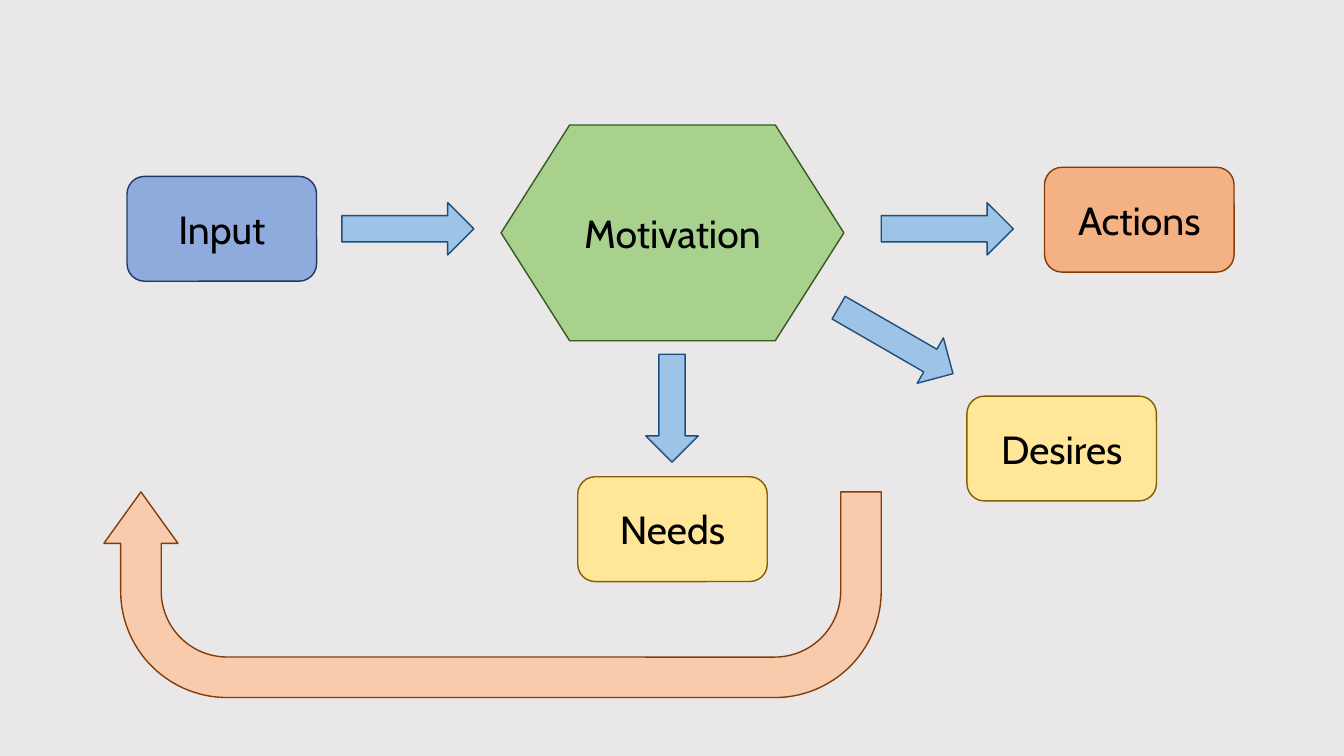
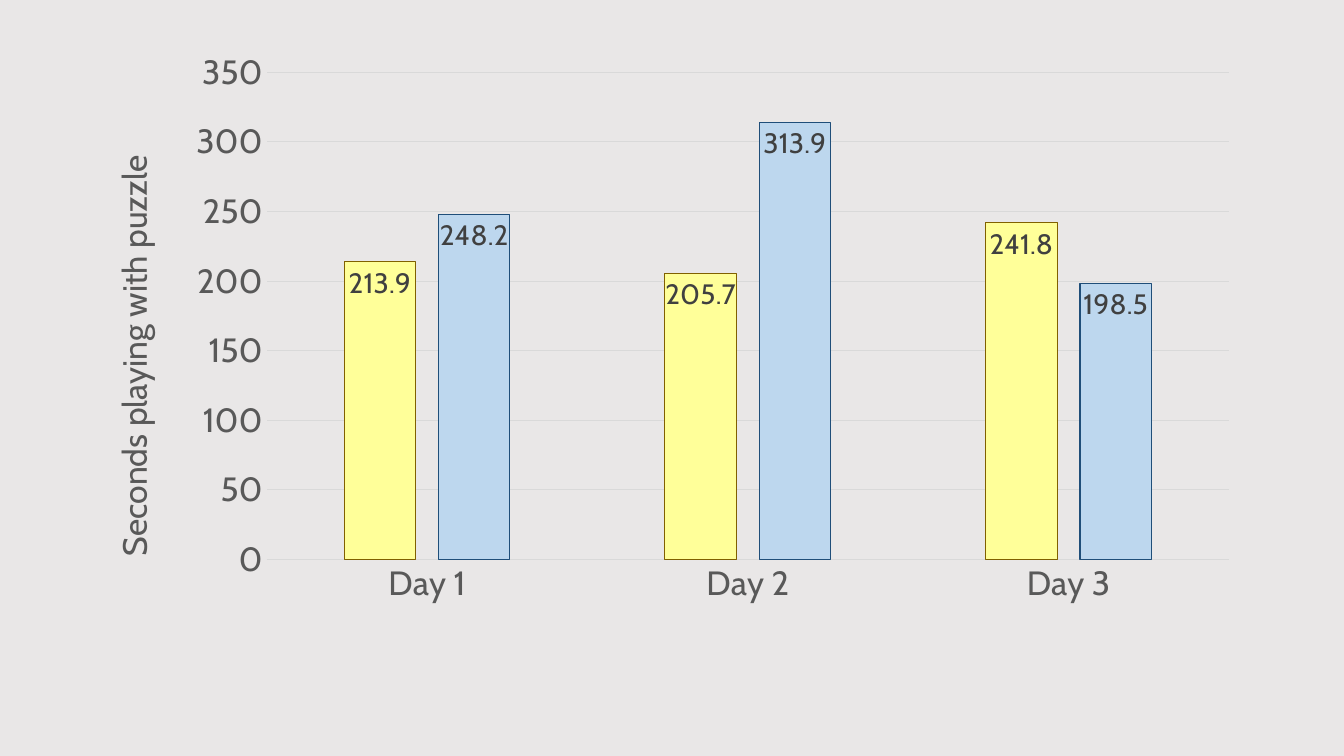
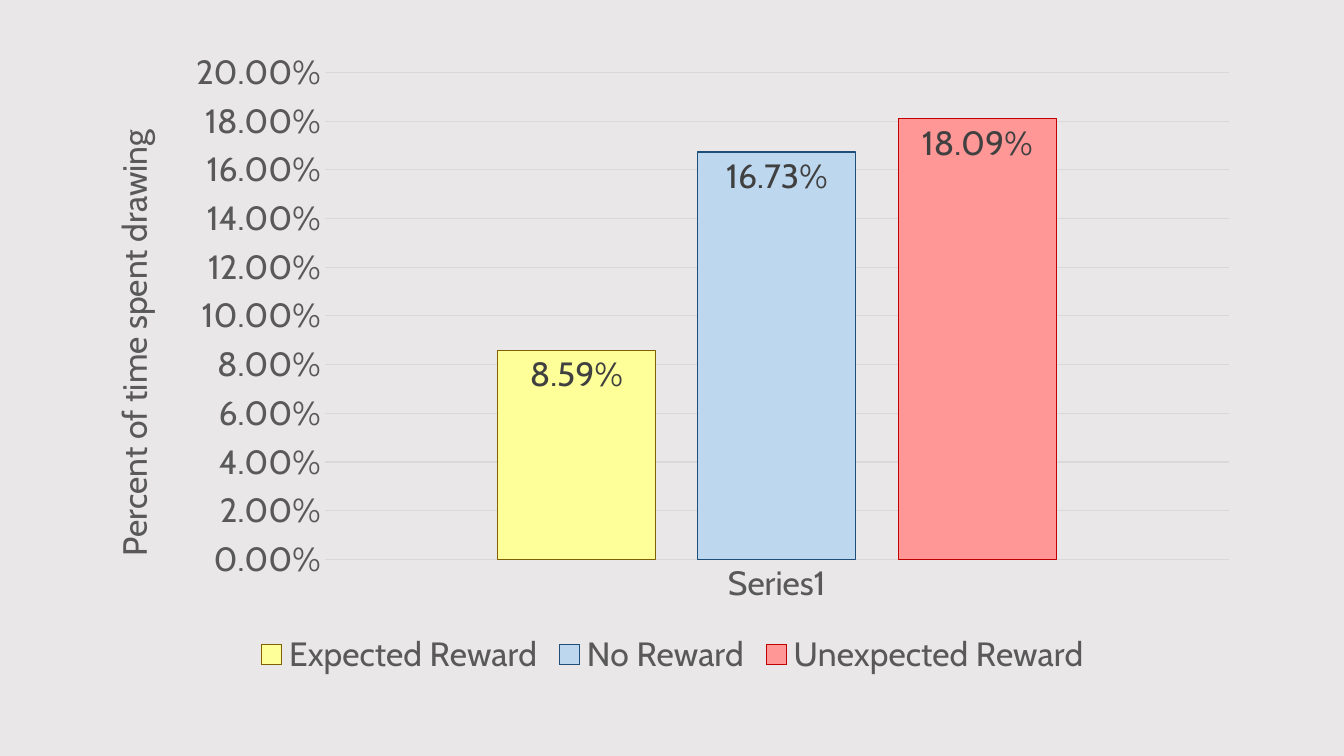
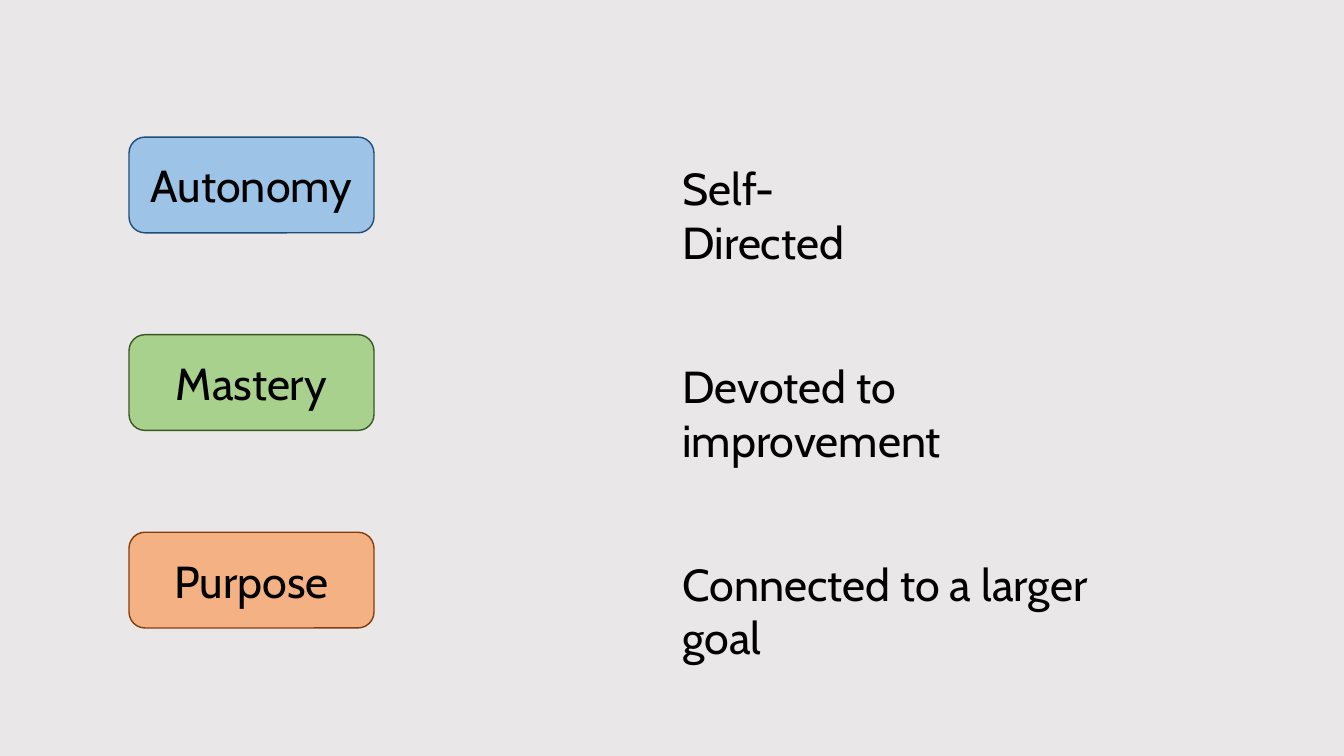
from dataclasses import dataclass

from lxml import etree
from pptx import Presentation
from pptx.chart.axis import ValueAxis
from pptx.chart.data import CategoryChartData
from pptx.dml.color import RGBColor
from pptx.dml.line import LineFormat
from pptx.enum.chart import XL_CHART_TYPE as ChartType
from pptx.enum.chart import XL_LABEL_POSITION as LabelPosition
from pptx.enum.chart import XL_LEGEND_POSITION as LegendPosition
from pptx.enum.chart import XL_TICK_MARK as TickMark
from pptx.enum.shapes import MSO_SHAPE as Shape
from pptx.enum.text import MSO_ANCHOR as Anchor
from pptx.enum.text import MSO_AUTO_SIZE as AutoSize
from pptx.enum.text import PP_ALIGN as Align
from pptx.oxml.ns import qn
from pptx.slide import Slide
from pptx.text.text import Font
from pptx.util import Inches, Pt

FONT = "Cabin"
BACKGROUND = RGBColor(0xE9, 0xE7, 0xE7)
BLACK = RGBColor(0x00, 0x00, 0x00)
AXIS_GRAY = RGBColor(0x59, 0x59, 0x59)
LABEL_GRAY = RGBColor(0x40, 0x40, 0x40)
GRID_GRAY = RGBColor(0xD9, 0xD9, 0xD9)
PERIWINKLE = RGBColor(0x8F, 0xAA, 0xDC)
NAVY = RGBColor(0x20, 0x38, 0x64)
ORANGE = RGBColor(0xF4, 0xB1, 0x83)
PEACH = RGBColor(0xF8, 0xCB, 0xAD)
BROWN = RGBColor(0x84, 0x3C, 0x0B)
GOLD = RGBColor(0xFF, 0xE6, 0x99)
OLIVE = RGBColor(0x80, 0x60, 0x00)
GREEN = RGBColor(0xA9, 0xD1, 0x8E)
DARK_GREEN = RGBColor(0x38, 0x57, 0x23)
BLUE = RGBColor(0x9D, 0xC3, 0xE6)
PALE_BLUE = RGBColor(0xBD, 0xD7, 0xEE)
DARK_BLUE = RGBColor(0x1F, 0x4E, 0x79)
YELLOW = RGBColor(0xFF, 0xFF, 0x99)
PINK = RGBColor(0xFF, 0x97, 0x97)
RED = RGBColor(0xC0, 0x00, 0x00)

NODE_SIZE = (1.88, 1.04)
ARROW_SIZE = (1.31, 0.52)


@dataclass(frozen=True)
class Block:
    left: float
    top: float
    size: tuple[float, float]
    fill: RGBColor
    line: RGBColor
    text: str = ""
    font_size: int = 28
    kind: Shape = Shape.ROUNDED_RECTANGLE
    rotation: int = 0
    adjustments: tuple[float, ...] = ()


@dataclass(frozen=True)
class Bars:
    name: str
    values: tuple[float, ...]
    fill: RGBColor
    line: RGBColor


@dataclass(frozen=True)
class ColumnChart:
    axis_title: str
    title_top: float
    categories: tuple[str, ...]
    series: tuple[Bars, ...]
    number_format: str
    maximum: float
    step: float
    gap: int
    overlap: int
    label_size: int
    plot_left: float
    plot_width: float
    legend: bool


@dataclass(frozen=True)
class Driver:
    name: str
    meaning: str
    meaning_width: float
    fill: RGBColor
    line: RGBColor


FLOW = (
    Block(1.26, 1.75, NODE_SIZE, PERIWINKLE, NAVY, "Input"),
    Block(10.36, 1.66, NODE_SIZE, ORANGE, BROWN, "Actions"),
    Block(9.59, 3.93, NODE_SIZE, GOLD, OLIVE, "Desires"),
    Block(5.73, 4.73, NODE_SIZE, GOLD, OLIVE, "Needs"),
    Block(4.97, 1.24, (3.4, 2.14), GREEN, DARK_GREEN, "Motivation",
          kind=Shape.FLOWCHART_PREPARATION),
    Block(3.39, 2.01, ARROW_SIZE, BLUE, DARK_BLUE, kind=Shape.RIGHT_ARROW),
    Block(8.23, 3.12, ARROW_SIZE, BLUE, DARK_BLUE, kind=Shape.RIGHT_ARROW, rotation=30),
    Block(8.74, 2.01, ARROW_SIZE, BLUE, DARK_BLUE, kind=Shape.RIGHT_ARROW),
    Block(6.13, 3.79, (1.07, 0.52), BLUE, DARK_BLUE, kind=Shape.RIGHT_ARROW, rotation=90),
    Block(1.03, 4.88, (7.71, 2.04), PEACH, BROWN, kind=Shape.U_TURN_ARROW, rotation=180,
          adjustments=(0.197, 0.18, 0.25, 0.518, 1)),
)

PUZZLE_TIME = ColumnChart(
    "Seconds playing with puzzle", 0.17, ("Day 1", "Day 2", "Day 3"),
    (
        Bars("Control", (213.9, 205.7, 241.8), YELLOW, OLIVE),
        Bars("Test", (248.2, 313.9, 198.5), PALE_BLUE, DARK_BLUE),
    ),
    number_format="General", maximum=350, step=50, gap=217, overlap=-32,
    label_size=20, plot_left=0.15, plot_width=0.83, legend=False,
)

DRAWING_TIME = ColumnChart(
    "Percent of time spent drawing", 0.13, ("Series1",),
    (
        Bars("Expected Reward", (0.0859,), YELLOW, OLIVE),
        Bars("No Reward", (0.1673,), PALE_BLUE, DARK_BLUE),
        Bars("Unexpected Reward", (0.1809,), PINK, RED),
    ),
    number_format="0.00%", maximum=0.2, step=0.02, gap=219, overlap=-27,
    label_size=24, plot_left=0.2, plot_width=0.78, legend=True,
)

DRIVERS = (
    Driver("Autonomy", "Self-Directed", 2.59, BLUE, DARK_BLUE),
    Driver("Mastery", "Devoted to improvement", 4.84, GREEN, DARK_GREEN),
    Driver("Purpose", "Connected to a larger goal", 5.08, ORANGE, BROWN),
)


def set_font(font: Font, size: int, color: RGBColor) -> None:
    for attribute, value in {"name": FONT, "size": Pt(size), "bold": False}.items():
        setattr(font, attribute, value)
    font.color.rgb = color


def set_line(line: LineFormat, color: RGBColor, width: float) -> None:
    line.color.rgb = color
    line.width = Pt(width)


def add_block(slide: Slide, block: Block) -> None:
    shape = slide.shapes.add_shape(
        block.kind, Inches(block.left), Inches(block.top), *map(Inches, block.size))
    shape.shadow.inherit = False
    shape.rotation = block.rotation
    for index, value in enumerate(block.adjustments):
        shape.adjustments[index] = value
    shape.fill.solid()
    shape.fill.fore_color.rgb = block.fill
    set_line(shape.line, block.line, 1)
    if block.text:
        frame = shape.text_frame
        frame.vertical_anchor = Anchor.MIDDLE
        paragraph = frame.paragraphs[0]
        paragraph.alignment = Align.CENTER
        run = paragraph.add_run()
        run.text = block.text
        set_font(run.font, block.font_size, BLACK)


def set_layout(parent: etree.ElementBase, index: int, fractions: dict[str, float],
               inner: bool = False) -> None:
    """Place a chart part by fractions of the chart's size."""
    for old in parent.findall(qn("c:layout")):
        parent.remove(old)
    layout = etree.Element(qn("c:layout"))
    manual = etree.SubElement(layout, qn("c:manualLayout"))
    settings = {"layoutTarget": "inner"} if inner else {}
    settings |= {"xMode": "edge", "yMode": "edge"}
    settings |= {key: str(value) for key, value in fractions.items()}
    for tag, value in settings.items():
        etree.SubElement(manual, qn(f"c:{tag}")).set("val", value)
    parent.insert(index, layout)


def format_value_axis(axis: ValueAxis, content: ColumnChart) -> None:
    scale = {"minimum_scale": 0, "maximum_scale": content.maximum, "major_unit": content.step}
    for attribute, value in scale.items():
        setattr(axis, attribute, value)
    axis.format.line.fill.background()
    set_line(axis.major_gridlines.format.line, GRID_GRAY, 0.75)
    axis.tick_labels.number_format = content.number_format
    axis.tick_labels.number_format_is_linked = False
    title = axis.axis_title
    frame = title.text_frame
    frame.text = content.axis_title
    set_font(frame.paragraphs[0].runs[0].font, 24, AXIS_GRAY)
    body = title._element.find(".//" + qn("a:bodyPr"))
    body.set("rot", "-5400000")
    body.set("vert", "horz")
    set_layout(title._element, 1, {"x": 0.01, "y": content.title_top})


def add_column_chart(slide: Slide, content: ColumnChart) -> None:
    data = CategoryChartData(number_format=content.number_format)
    data.categories = content.categories
    for bars in content.series:
        data.add_series(bars.name, bars.values)
    chart = slide.shapes.add_chart(
        ChartType.COLUMN_CLUSTERED, Inches(0.92), Inches(0.4), Inches(11.5), Inches(6.36),
        data).chart
    set_font(chart.font, 24, BLACK)
    chart.has_title = False
    chart.has_legend = content.legend
    if content.legend:
        chart.legend.position = LegendPosition.BOTTOM
        chart.legend.include_in_layout = False
        set_font(chart.legend.font, 24, AXIS_GRAY)

    for axis in (chart.category_axis, chart.value_axis):
        axis.major_tick_mark = axis.minor_tick_mark = TickMark.NONE
        set_font(axis.tick_labels.font, 24, AXIS_GRAY)
    set_line(chart.category_axis.format.line, GRID_GRAY, 0.75)
    format_value_axis(chart.value_axis, content)

    plot = chart.plots[0]
    for attribute, value in {"gap_width": content.gap, "overlap": content.overlap,
                             "vary_by_categories": False}.items():
        setattr(plot, attribute, value)
    for series, bars in zip(plot.series, content.series):
        series.format.fill.solid()
        series.format.fill.fore_color.rgb = bars.fill
        set_line(series.format.line, bars.line, 0.75)
        labels = series.data_labels
        labels.show_value = True
        labels.position = LabelPosition.INSIDE_END
        set_font(labels.font, content.label_size, LABEL_GRAY)
    plot_area = chart._chartSpace.find(".//" + qn("c:plotArea"))
    set_layout(plot_area, 0, {"x": content.plot_left, "y": 0.05,
                              "w": content.plot_width, "h": 0.76}, inner=True)


def add_driver(slide: Slide, driver: Driver, top: float) -> None:
    add_block(slide, Block(1.28, top, (2.43, 0.95), driver.fill, driver.line, driver.name, 32))
    meaning = slide.shapes.add_textbox(
        Inches(6.67), Inches(top + 0.19), Inches(driver.meaning_width), Inches(0.64))
    frame = meaning.text_frame
    frame.word_wrap = True
    frame.auto_size = AutoSize.NONE
    run = frame.paragraphs[0].add_run()
    run.text = driver.meaning
    set_font(run.font, 32, BLACK)


def main() -> None:
    deck = Presentation()
    deck.slide_width, deck.slide_height = Inches(13.33), Inches(7.5)
    background = deck.slide_master.background.fill
    background.solid()
    background.fore_color.rgb = BACKGROUND
    blank = deck.slide_layouts[6]

    flow_slide = deck.slides.add_slide(blank)
    for block in FLOW:
        add_block(flow_slide, block)

    for content in (PUZZLE_TIME, DRAWING_TIME):
        add_column_chart(deck.slides.add_slide(blank), content)

    driver_slide = deck.slides.add_slide(blank)
    for row, driver in enumerate(DRIVERS):
        add_driver(driver_slide, driver, 1.36 + 1.96 * row)

    deck.save("out.pptx")


if __name__ == "__main__":
    main()
